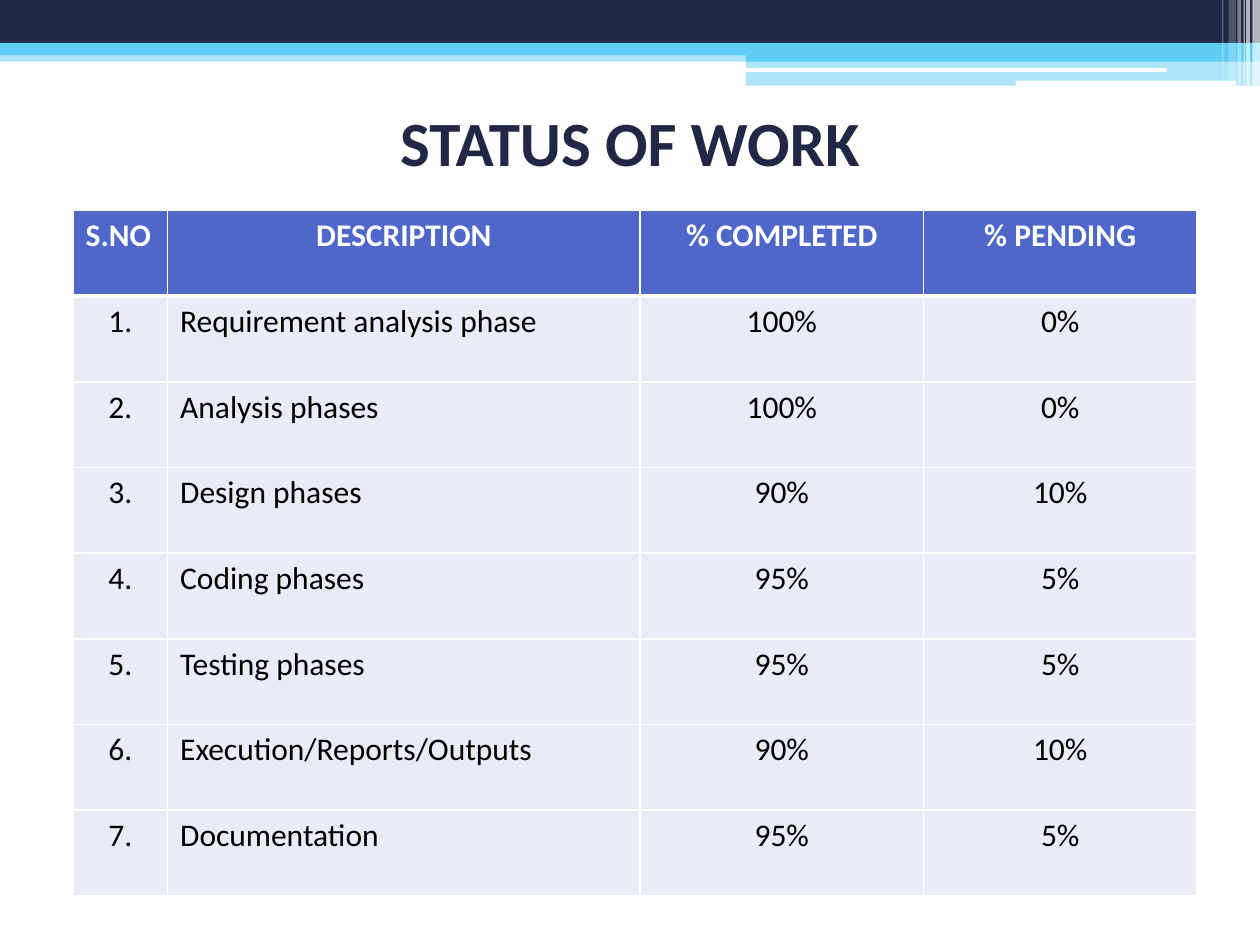
import pptx
import pptx.util
import pptx.dml.color
import pptx.enum.shapes
import pptx.enum.text
import pptx.oxml
import pptx.oxml.ns

Inches = pptx.util.Inches
Pt = pptx.util.Pt
RGBColor = pptx.dml.color.RGBColor
SHAPE = pptx.enum.shapes.MSO_SHAPE
ALIGN = pptx.enum.text.PP_ALIGN

NAVY = RGBColor(0x21, 0x27, 0x45)
SKY = RGBColor(0x5E, 0xCC, 0xF3)
WHITE = RGBColor(0xFF, 0xFF, 0xFF)
BLACK = RGBColor(0x00, 0x00, 0x00)
HEADER_BLUE = RGBColor(0x4E, 0x67, 0xC8)
ROW_TINT = RGBColor(0xE9, 0xEB, 0xF5)
FONT = "Calibri"

BANDS = [
    (0, 0.4, 10, 0.09, SKY, 50),
    (0, 0, 10, 0.34, NAVY, 100),
    (0, 0.34, 10, 0.1, SKY, 100),
    (5.92, 0.39, 4.08, 0.1, SKY, 100),
    (5.92, 0.48, 4.08, 0.2, SKY, 50),
]
PILLS = [(5.91, 0.54, 3.35, 0.03), (8.06, 0.64, 1.75, 0.04)]
STRIPES = [
    (9.94, 0.06, 0.68, 65),
    (9.89, 0.03, 0.68, 65),
    (9.87, 0.01, 0.68, 60),
    (9.82, 0.03, 0.68, 40),
    (9.75, 0.06, 0.64, 20),
    (9.7, 0.01, 0.64, 30),
]

HEADINGS = ["S.NO", "DESCRIPTION", "% COMPLETED", "% PENDING"]
COLUMN_WIDTHS = [0.75, 3.75, 2.25, 2.17]
COLUMN_ALIGNS = [ALIGN.CENTER, ALIGN.LEFT, ALIGN.CENTER, ALIGN.CENTER]
HEADING_ALIGNS = [ALIGN.LEFT, ALIGN.CENTER, ALIGN.CENTER, ALIGN.CENTER]
PHASES = [
    ("Requirement analysis phase", 100),
    ("Analysis phases", 100),
    ("Design phases", 90),
    ("Coding phases", 95),
    ("Testing phases", 95),
    ("Execution/Reports/Outputs", 90),
    ("Documentation", 95),
]


def add_block(slide, left, top, width, height, color, opacity=100, kind=SHAPE.RECTANGLE):
    block = slide.shapes.add_shape(
        kind, Inches(left), Inches(top), Inches(width), Inches(height))
    block.shadow.inherit = False
    block.line.fill.background()
    block.fill.solid()
    block.fill.fore_color.rgb = color
    if opacity < 100:
        tint = block.fill._xPr.find(".//" + pptx.oxml.ns.qn("a:srgbClr"))
        alpha = pptx.oxml.parse_xml(
            f'<a:alpha {pptx.oxml.ns.nsdecls("a")} val="{opacity * 1000}"/>')
        tint.append(alpha)


def add_banner(slide):
    for band in BANDS:
        add_block(slide, *band)
    for pill in PILLS:
        add_block(slide, *pill, WHITE, kind=SHAPE.ROUNDED_RECTANGLE)
    for left, width, height, opacity in STRIPES:
        add_block(slide, left, 0, width, height, WHITE, opacity)


def write(paragraph, text, size, color, bold, align):
    paragraph.text = text
    paragraph.alignment = align
    paragraph.font.name = FONT
    paragraph.font.size = Pt(size)
    paragraph.font.bold = bold
    paragraph.font.color.rgb = color


def add_title(slide, text):
    title = slide.shapes.add_textbox(Inches(0.5), Inches(0.75), Inches(9), Inches(0.75))
    title.text_frame.word_wrap = True
    title.text_frame.vertical_anchor = pptx.enum.text.MSO_ANCHOR.MIDDLE
    write(title.text_frame.paragraphs[0], text, 36, NAVY, True, ALIGN.CENTER)


def set_borders(cell, top, bottom):
    properties = cell._tc.get_or_add_tcPr()
    for side, points in (("L", 1), ("R", 1), ("T", top), ("B", bottom)):
        properties.append(pptx.oxml.parse_xml(
            f'<a:ln{side} {pptx.oxml.ns.nsdecls("a")} w="{Pt(points)}">'
            f'<a:solidFill><a:srgbClr val="{WHITE}"/></a:solidFill></a:ln{side}>'))


def add_status_table(slide):
    rows = [HEADINGS] + [
        (f"{number}.", phase, f"{done}%", f"{100 - done}%")
        for number, (phase, done) in enumerate(PHASES, 1)
    ]
    status = slide.shapes.add_table(
        len(rows), len(HEADINGS), Inches(0.58), Inches(1.67),
        Inches(sum(COLUMN_WIDTHS)), Inches(0.68 * len(rows))).table
    for column, width in zip(status.columns, COLUMN_WIDTHS):
        column.width = Inches(width)
    for r, row in enumerate(rows):
        heading = r == 0
        aligns = HEADING_ALIGNS if heading else COLUMN_ALIGNS
        for c, text in enumerate(row):
            cell = status.cell(r, c)
            set_borders(cell, 3 if r == 1 else 1, 3 if heading else 1)
            cell.fill.solid()
            cell.fill.fore_color.rgb = HEADER_BLUE if heading else ROW_TINT
            write(cell.text_frame.paragraphs[0], text, 18,
                  WHITE if heading else BLACK, heading, aligns[c])


def main():
    deck = pptx.Presentation()
    deck.slide_width = Inches(10)
    deck.slide_height = Inches(7.5)
    slide = deck.slides.add_slide(deck.slide_layouts[6])
    add_banner(slide)
    add_title(slide, "STATUS OF WORK")
    add_status_table(slide)
    deck.save("out.pptx")


if __name__ == "__main__":
    main()
